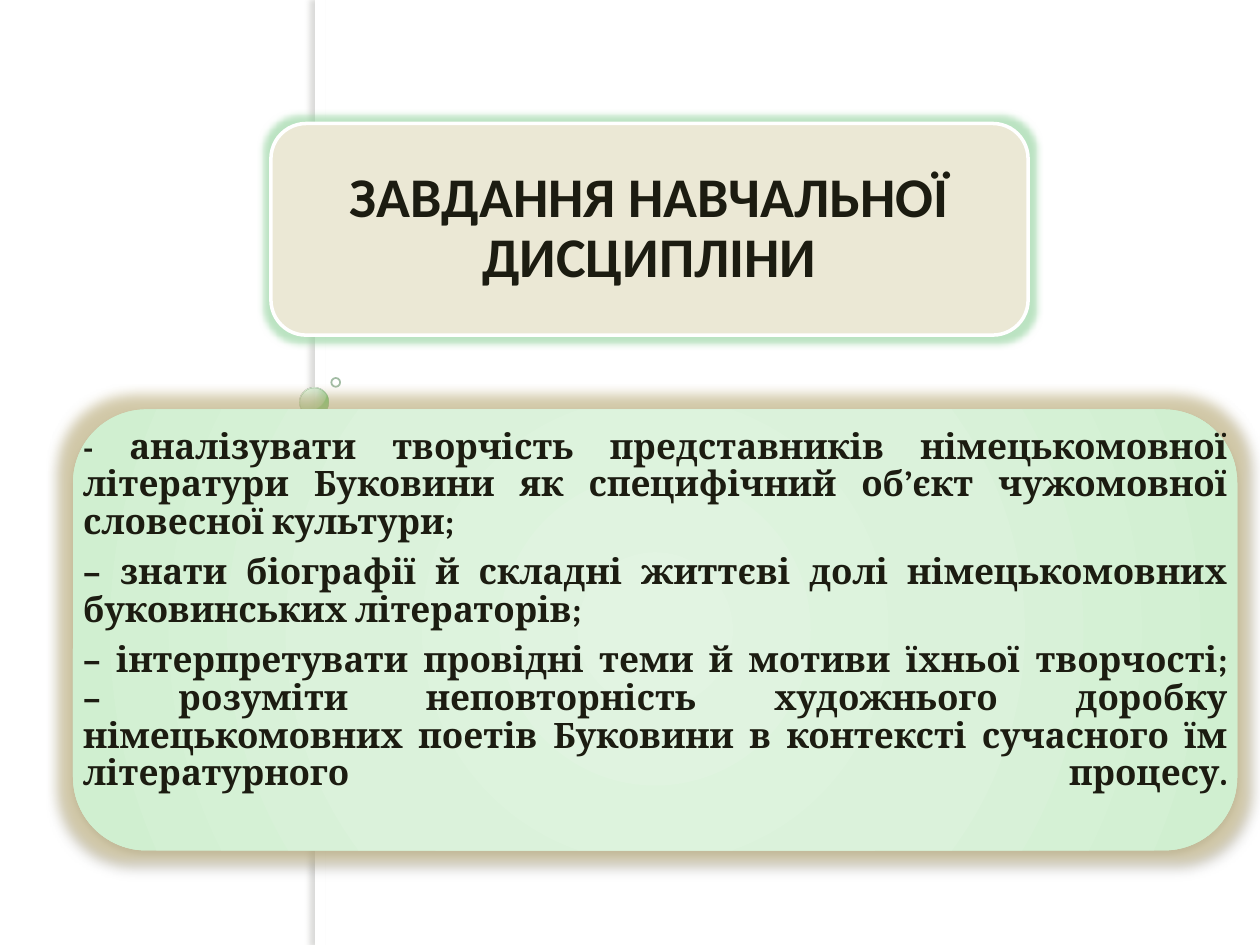
from lxml import etree
from pptx import Presentation
from pptx.dml.color import RGBColor
from pptx.enum.shapes import MSO_SHAPE
from pptx.enum.text import MSO_ANCHOR, MSO_AUTO_SIZE, PP_ALIGN
from pptx.oxml.ns import qn
from pptx.util import Inches, Pt

RECTANGLE, OVAL = MSO_SHAPE.RECTANGLE, MSO_SHAPE.OVAL
ROUNDED = MSO_SHAPE.ROUNDED_RECTANGLE
MIDDLE, NO_FIT = MSO_ANCHOR.MIDDLE, MSO_AUTO_SIZE.NONE
CENTER, JUSTIFY = PP_ALIGN.CENTER, PP_ALIGN.JUSTIFY

TITLE = "ЗАВДАННЯ НАВЧАЛЬНОЇ ДИСЦИПЛІНИ"
TASKS = [
    ("- ", "аналізувати творчість представників німецькомовної літератури Буковини "
     "як специфічний об’єкт чужомовної словесної культури;"),
    ("– ", "знати біографії й складні життєві долі німецькомовних буковинських літераторів;"),
    ("– ", "інтерпретувати провідні теми й мотиви їхньої творчості;\v"
     "– розуміти неповторність художнього доробку німецькомовних поетів Буковини "
     "в контексті сучасного їм літературного процесу.\v"),
]
TITLE_BOX = (2.15, 0.98, 6.01, 1.68)
TASKS_BOX = (0.58, 3.25, 9.24, 3.5)
INK = "1C1C11"

SHAPES = [
    dict(kind=RECTANGLE, box=(2.5, 0, 0.08, 7.5), fill="FFFFFF",
         shadow=("75756E", 25, 3, 3, 180)),
    dict(kind=OVAL, box=(2.38, 3.08, 0.23, 0.23), line=("6B9E6F", 0.16, 60),
         stops=[(0, "E3F9E4", 95), (50, "D0E9D2", 90), (95, "91D495", 88), (100, "49C052", 85)],
         focus=(25, 12, 75, 88)),
    dict(kind=OVAL, box=(2.63, 3, 0.07, 0.07), line=("659068", 1, 60)),
    dict(kind=ROUNDED, box=TASKS_BOX, glow=("D3C48E", 60, 14),
         shadow=("000000", 32, 3.5, 2.2, 90), focus=(50, 50, 50, 50),
         stops=[(0, "E2F4E2", 100), (50, "DBF2DB", 100), (97, "D0EFD0", 100), (100, "CCEFCC", 100)]),
    dict(kind=ROUNDED, box=TITLE_BOX, fill="EBE8D5", line=("FFFFFF", 2, 100),
         glow=("8FD19A", 60, 8)),
]


def rgb(color):
    return RGBColor.from_string(color)


def place(shape, box):
    for name, value in zip(("left", "top", "width", "height"), box):
        setattr(shape, name, Inches(value))


def node(parent, tag, **values):
    return etree.SubElement(parent, qn("a:" + tag), {k: str(v) for k, v in values.items()})


def add_color(parent, color, opacity):
    node(node(parent, "srgbClr", val=color), "alpha", val=opacity * 1000)


def add_gradient(shape, stops, focus):
    properties = shape._element.spPr
    gradient = node(properties, "gradFill", rotWithShape=1)
    stop_list = node(gradient, "gsLst")
    for position, color, opacity in stops:
        add_color(node(stop_list, "gs", pos=position * 1000), color, opacity)
    circle = node(gradient, "path", path="circle")
    node(circle, "fillToRect", **{k: v * 1000 for k, v in zip("ltrb", focus)})
    properties.find(qn("a:prstGeom")).addnext(gradient)


def add_shape(slide, kind, box, fill=None, stops=None, focus=None, line=None, glow=None, shadow=None):
    shape = slide.shapes.add_shape(kind, *map(Inches, box))
    shape.shadow.inherit = False
    if stops:
        add_gradient(shape, stops, focus)
    elif fill:
        shape.fill.solid()
        shape.fill.fore_color.rgb = rgb(fill)
    else:
        shape.fill.background()
    if line:
        color, width, opacity = line
        shape.line.color.rgb = rgb(color)
        shape.line.width = Pt(width)
        line_color = shape.line._ln.find(".//" + qn("a:srgbClr"))
        node(line_color, "alpha", val=opacity * 1000)
    else:
        shape.line.fill.background()
    effects = shape._element.spPr.find(qn("a:effectLst"))
    if glow:
        color, opacity, radius = glow
        add_color(node(effects, "glow", rad=Pt(radius)), color, opacity)
    if shadow:
        color, opacity, blur, distance, angle = shadow
        outer = node(effects, "outerShdw", blurRad=Pt(blur), dist=Pt(distance),
                     dir=angle * 60000, algn="ctr", rotWithShape=0)
        add_color(outer, color, opacity)


def write_text(placeholder, box, paragraphs, font, sizes, align, margins, space_after):
    place(placeholder, box)
    placeholder._element.getparent().append(placeholder._element)
    frame = placeholder.text_frame
    frame_format = dict(word_wrap=True, auto_size=NO_FIT, vertical_anchor=MIDDLE,
                        margin_left=Inches(margins[0]), margin_right=Inches(margins[0]),
                        margin_top=Inches(margins[1]), margin_bottom=Inches(margins[1]))
    for name, value in frame_format.items():
        setattr(frame, name, value)
    frame.text = "\n".join("".join(parts) for parts in paragraphs)
    paragraph_format = dict(alignment=align, line_spacing=0.9, space_before=Pt(0),
                            space_after=Pt(space_after))
    for paragraph, parts in zip(frame.paragraphs, paragraphs):
        for name, value in paragraph_format.items():
            setattr(paragraph, name, value)
        properties = paragraph._p.get_or_add_pPr()
        properties.set("marL", "0")
        properties.set("indent", "0")
        node(properties, "buNone")
        if parts[0] == "- ":
            paragraph.runs[0].text = parts[0]
            paragraph.add_run().text = parts[1]
        run_sizes = sizes if len(paragraph.runs) == len(sizes) and parts[0] == "- " else sizes[-1:] * len(paragraph.runs)
        for run, size in zip(paragraph.runs, run_sizes):
            font_format = dict(name=font, size=Pt(size), bold=True)
            for name, value in font_format.items():
                setattr(run.font, name, value)
            run.font.color.rgb = rgb(INK)
        for line_break in paragraph._p.findall(qn("a:br")):
            node(line_break, "rPr", sz=sizes[-1] * 100, b=1)
        node(paragraph._p, "endParaRPr", sz=sizes[-1] * 100, b=1)


presentation = Presentation()
presentation.slide_width, presentation.slide_height = Inches(10), Inches(7.5)
slide = presentation.slides.add_slide(presentation.slide_layouts[1])
title, body = slide.placeholders
for shape_format in SHAPES:
    add_shape(slide, **shape_format)
write_text(body, TASKS_BOX, TASKS, "Cambria", (19, 20), JUSTIFY, (0.08, 0.08), 7)
write_text(title, TITLE_BOX, [(TITLE,)], "Calibri", (32,), CENTER, (0.13, 0.07), 11)
presentation.save("out.pptx")
